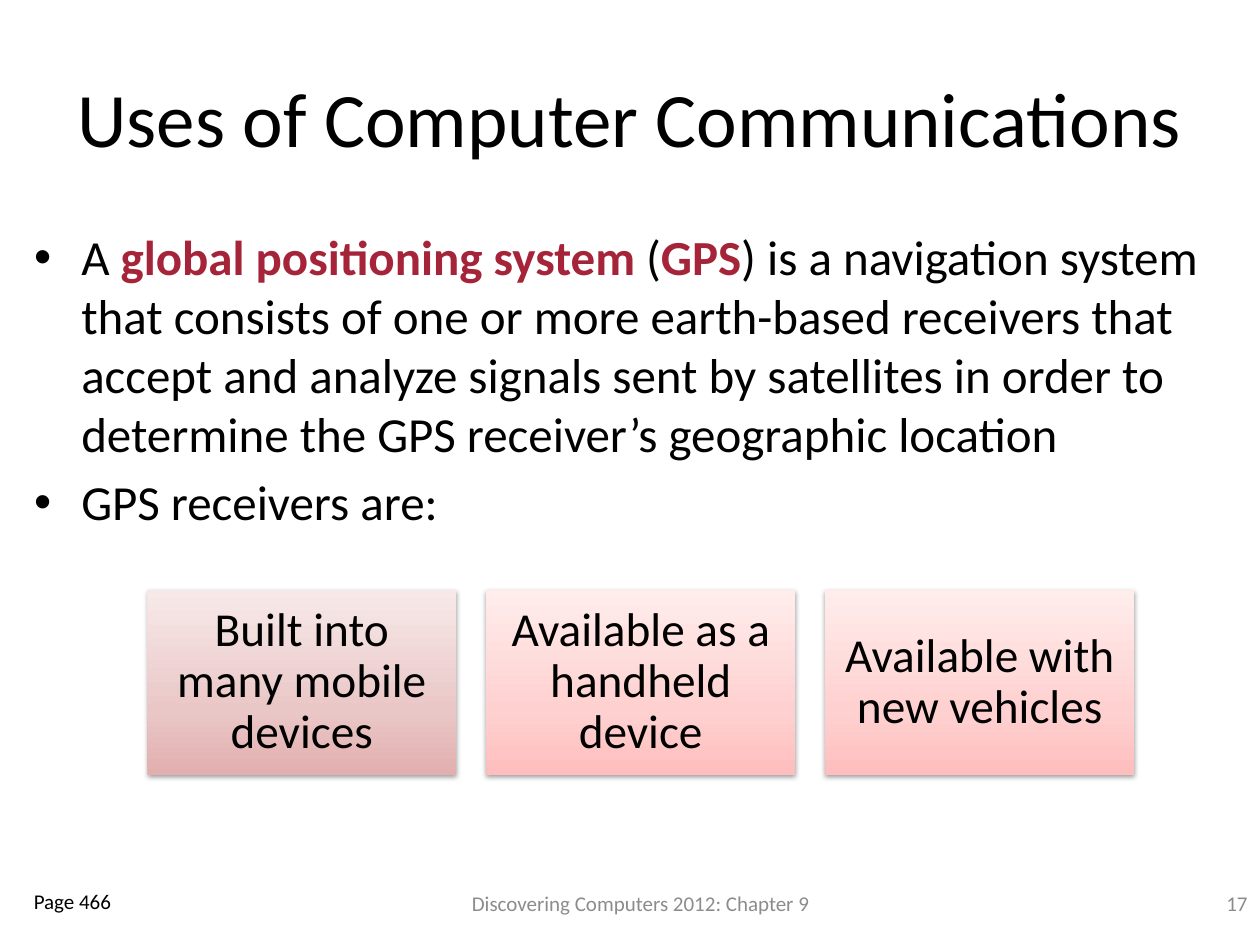
from copy import deepcopy
from dataclasses import dataclass

from lxml.etree import SubElement
from pptx import Presentation
from pptx.dml.color import RGBColor
from pptx.enum.shapes import MSO_SHAPE as Shape
from pptx.enum.text import MSO_ANCHOR as Anchor, MSO_AUTO_SIZE as AutoSize, PP_ALIGN as Align
from pptx.oxml.ns import qn
from pptx.util import Inches, Pt


@dataclass(frozen=True)
class Theme:
    font: str = "Calibri"
    ink: str = "000000"
    accent: str = "A52439"
    muted: str = "8C8C8C"
    rose: tuple = ("E2AFAE", "EAC7C7", "F7E9E9")
    pink: tuple = ("FEBEBD", "FED1D0", "FFEDEC")
    title_size: int = 44
    body_size: int = 28
    card_size: int = 27
    small_size: int = 12


THEME = Theme()
STOP_POSITIONS = (0, 0.35, 1)

BULLETS = [
    [
        ("A ", False),
        ("global positioning system ", True),
        ("(", False),
        ("GPS", True),
        (") is a navigation system that consists of one or more earth-based "
         "receivers that accept and analyze signals sent by satellites in order "
         "to determine the GPS receiver’s geographic location", False),
    ],
    [("GPS receivers are:", False)],
]
RECEIVER_CARDS = [
    ("Built into many mobile devices", THEME.rose),
    ("Available as a handheld device", THEME.pink),
    ("Available with new vehicles", THEME.pink),
]


def add_span(para, text, size, color=THEME.ink, bold=False):
    span = para.add_run()
    span.text = text
    span.font.name = THEME.font
    span.font.size = Pt(size)
    span.font.bold = bold
    span.font.color.rgb = RGBColor.from_string(color)


def place(box, left, top, width, height):
    box.left, box.top = Inches(left), Inches(top)
    box.width, box.height = Inches(width), Inches(height)


def fill_title(page, text):
    title = page.shapes.title
    place(title, 0.5, 0.3, 9, 1.25)
    frame = title.text_frame
    frame.auto_size = AutoSize.NONE
    frame.vertical_anchor = Anchor.MIDDLE
    para = frame.paragraphs[0]
    para.alignment = Align.CENTER
    add_span(para, text, THEME.title_size)


def fill_bullets(page, bullets):
    body = page.placeholders[1]
    place(body, 0.17, 1.75, 9.67, 5.08)
    frame = body.text_frame
    frame.auto_size = AutoSize.NONE
    for index, spans in enumerate(bullets):
        para = frame.add_paragraph() if index else frame.paragraphs[0]
        if index == 0:
            para.space_before = Pt(0)
        for text, key_term in spans:
            color = THEME.accent if key_term else THEME.ink
            add_span(para, text, THEME.body_size, color, key_term)


def add_label(page, text, area, align, anchor=Anchor.MIDDLE, color=THEME.muted):
    box = page.shapes.add_textbox(*map(Inches, area))
    frame = box.text_frame
    frame.word_wrap = True
    frame.vertical_anchor = anchor
    para = frame.paragraphs[0]
    para.alignment = align
    add_span(para, text, THEME.small_size, color)


def fill_gradient(card, colors):
    card.fill.gradient()
    card.fill.gradient_angle = 90
    stop_list = card.fill.gradient_stops[0]._gs.getparent()
    stop_list.insert(1, deepcopy(stop_list[0]))
    for stop, position, color in zip(card.fill.gradient_stops, STOP_POSITIONS, colors):
        stop.position = position
        stop.color.rgb = RGBColor.from_string(color)


def add_soft_shadow(card):
    card.shadow.inherit = False
    effects = card._element.spPr.find(qn("a:effectLst"))
    shadow = SubElement(effects, qn("a:outerShdw"), blurRad=str(Pt(3.1)),
                        dist=str(Pt(1.6)), dir="5400000", rotWithShape="0")
    color = SubElement(shadow, qn("a:srgbClr"), val=THEME.ink)
    SubElement(color, qn("a:alpha"), val="38000")


def add_card(page, text, colors, left, top, width, height):
    card = page.shapes.add_shape(Shape.RECTANGLE, *map(Inches, (left, top, width, height)))
    fill_gradient(card, colors)
    card.line.fill.background()
    add_soft_shadow(card)
    frame = card.text_frame
    frame.word_wrap = True
    frame.vertical_anchor = Anchor.MIDDLE
    frame.margin_left = frame.margin_right = Inches(0.11)
    frame.margin_top = frame.margin_bottom = Inches(0.11)
    para = frame.paragraphs[0]
    para.alignment = Align.CENTER
    para.line_spacing = 0.9
    add_span(para, text, THEME.card_size)


def add_card_row(page, cards):
    left, top, width, height, gap = 1.17, 4.68, 2.45, 1.47, 0.24
    for index, (text, colors) in enumerate(cards):
        add_card(page, text, colors, left + index * (width + gap), top, width, height)


def main():
    deck = Presentation()
    deck.slide_width, deck.slide_height = Inches(10), Inches(7.5)
    page = deck.slides.add_slide(deck.slide_layouts[1])
    fill_title(page, "Uses of Computer Communications")
    fill_bullets(page, BULLETS)
    add_label(page, "Discovering Computers 2012: Chapter 9", (3, 6.92, 4.17, 0.5), Align.CENTER)
    add_label(page, "17", (9.33, 6.83, 0.67, 0.67), Align.RIGHT)
    add_label(page, "Page 466", (0.17, 7, 1.83, 0.5), Align.LEFT, Anchor.TOP, THEME.ink)
    add_card_row(page, RECEIVER_CARDS)
    deck.save("out.pptx")


if __name__ == "__main__":
    main()
